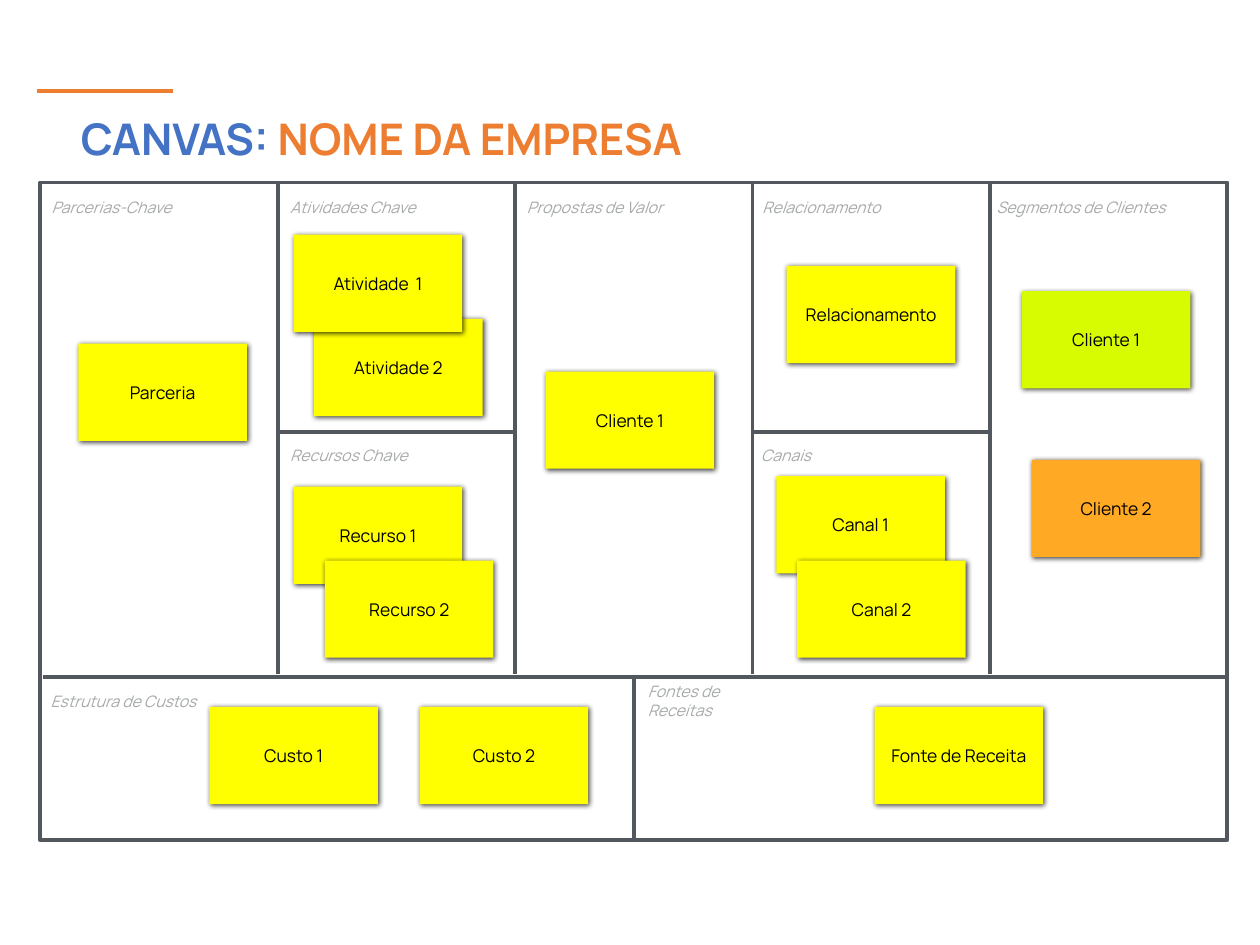
from lxml import etree
from pptx import Presentation
from pptx.dml.color import RGBColor
from pptx.enum import shapes, text
from pptx.oxml import parse_xml
from pptx.oxml.ns import qn
from pptx.util import Cm, Pt

NS = "http://schemas.openxmlformats.org/drawingml/2006/main"
SHADOW = (
    f'<a:effectLst xmlns:a="{NS}">'
    '<a:outerShdw blurRad="38100" dist="12700" dir="2700000" algn="tl" rotWithShape="0">'
    '<a:srgbClr val="000000"><a:alpha val="75000"/></a:srgbClr>'
    '</a:outerShdw></a:effectLst>'
)
GRAY, ORANGE, YELLOW = "53585F", "ED7D31", "FFFF00"


def rgb(tone):
    return RGBColor.from_string(tone)


def write(shape, runs, size, pad, bold=False, slant=False, align=None):
    frame = shape.text_frame
    frame.word_wrap = True
    frame.vertical_anchor = text.MSO_ANCHOR.MIDDLE if pad else text.MSO_ANCHOR.TOP
    frame.margin_left = frame.margin_right = Cm(pad)
    frame.margin_top = frame.margin_bottom = Cm(pad)
    para = frame.paragraphs[0]
    para.alignment = align
    for words, tone in runs:
        run = para.add_run()
        run.text = words
        font = run.font
        font.name = "Manrope"
        font.size = Pt(size)
        font.bold = bold
        font.italic = slant
        font.color.rgb = rgb(tone)


deck = Presentation()
deck.slide_width, deck.slide_height = Cm(25.4), Cm(19.05)
slide = deck.slides.add_slide(deck.slide_layouts[6])
items = slide.shapes

title = items.add_textbox(Cm(1.63), Cm(2.26), Cm(23.93), Cm(1.3))
title.width = Cm(22.1)
write(title, [("CANVAS: ", "4472C4"), ("NOME DA EMPRESA", ORANGE)], 24.9, 0, bold=True)

frame = items.add_shape(shapes.MSO_SHAPE.RECTANGLE, Cm(0.81), Cm(3.68), Cm(23.93), Cm(13.26))
frame.shadow.inherit = False
frame.fill.background()
frame.line.color.rgb = rgb(GRAY)
frame.line.width = Pt(2.25)

top, mid, base = 3.68, 8.71, 13.64
cols = [5.61 + 4.78 * i for i in range(4)]
lines = [(0.74, 1.83, 3.48, 1.83, ORANGE), (0.86, base, 24.69, base, GRAY)]
lines += [(x, top, x, base - 0.05, GRAY) for x in cols]
lines += [(x, mid, x + 4.78, mid, GRAY) for x in cols[::2]]
lines.append((12.78, 16.97, 12.78, base, GRAY))
for x, y, right, low, tone in lines:
    rule = items.add_connector(shapes.MSO_CONNECTOR.STRAIGHT, Cm(x), Cm(y), Cm(right), Cm(low))
    rule.line.color.rgb = rgb(tone)
    rule.line.width = Pt(2.25)
    etree.SubElement(rule._element.spPr, qn("a:effectLst"))

rows = [
    (3.91, [
        ("Parcerias-Chave", 0.91, 3.73),
        ("Atividades Chave", 5.72, 2.9),
        ("Propostas de Valor", 10.49, 3.15),
        ("Relacionamento", 15.24, 3.25),
        ("Segmentos de Clientes", 19.96, 3.75),
    ]),
    (8.92, [("Recursos Chave", 5.72, 2.75), ("Canais", 15.21, 2.95)]),
    (13.87, [("Estrutura de Custos", 0.89, 3.3), ("Fontes de Receitas", 12.93, 2.95)]),
]
for y, heads in rows:
    for words, x, wide in heads:
        label = items.add_textbox(Cm(x), Cm(y), Cm(wide), Cm(0.53))
        write(label, [(words, "A6AAA9")], 9, 0.13, slant=True)

notes = [
    ("Cliente 2", 20.8, 9.27, "FFA924"),
    ("Cliente 1", 20.6, 5.87, "D7FB01"),
    ("Cliente 1", 11, 7.49, YELLOW),
    ("Canal 1", 15.65, 9.6, YELLOW),
    ("Relacionamento", 15.86, 5.36, YELLOW),
    ("Fonte de Receita", 17.63, 14.25, YELLOW),
    ("Custo 1", 4.22, 14.25, YELLOW),
    ("Custo 2", 8.46, 14.25, YELLOW),
    ("Recurso 1", 5.92, 9.81, YELLOW),
    ("Atividade 2", 6.33, 6.43, YELLOW),
    ("Parceria", 1.58, 6.93, YELLOW),
    ("Canal 2", 16.07, 11.3, YELLOW),
    ("Recurso 2", 6.55, 11.3, YELLOW),
    ("Atividade  1", 5.92, 4.73, YELLOW),
]
for words, x, y, tone in notes:
    note = items.add_shape(shapes.MSO_SHAPE.RECTANGLE, Cm(x), Cm(y), Cm(3.4), Cm(1.96))
    note.fill.solid()
    note.fill.fore_color.rgb = rgb(tone)
    note.line.fill.background()
    note._element.spPr.append(parse_xml(SHADOW))
    write(note, [(words, "000000")], 10, 0.25, align=text.PP_ALIGN.CENTER)

deck.save("out.pptx")
